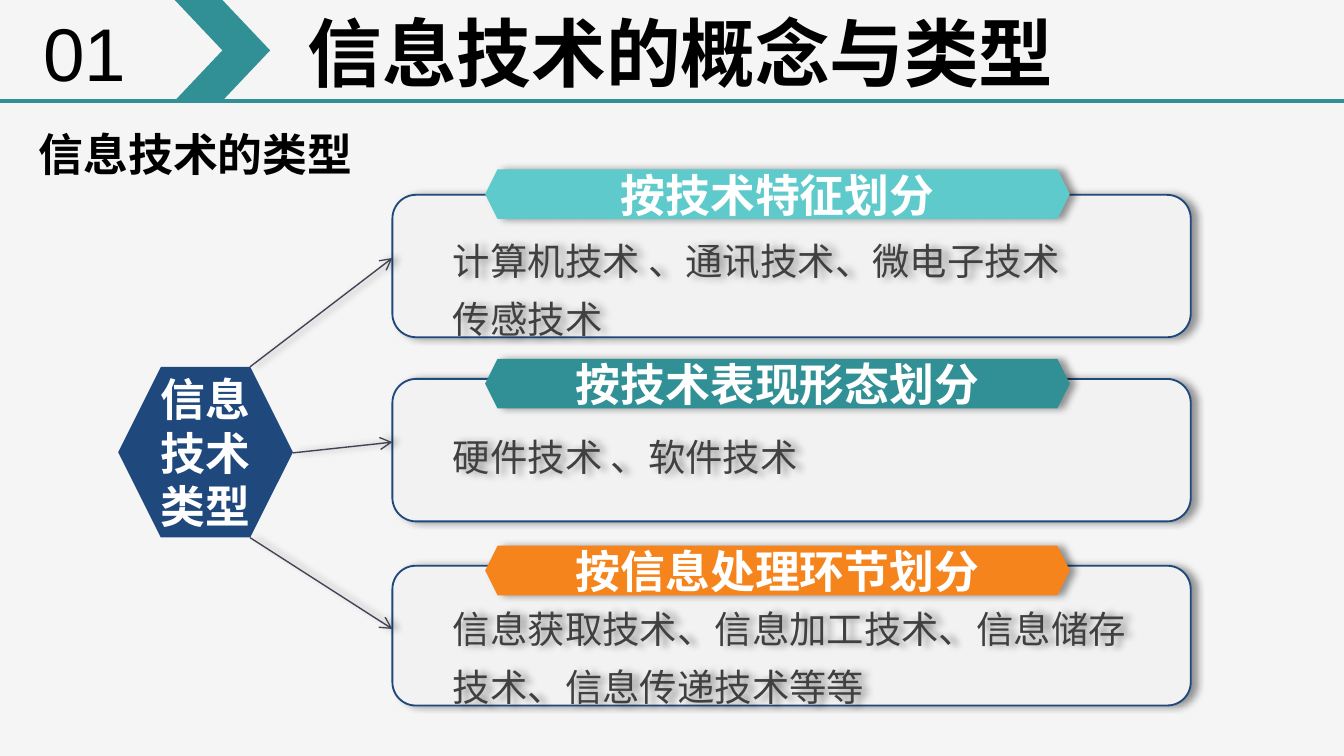
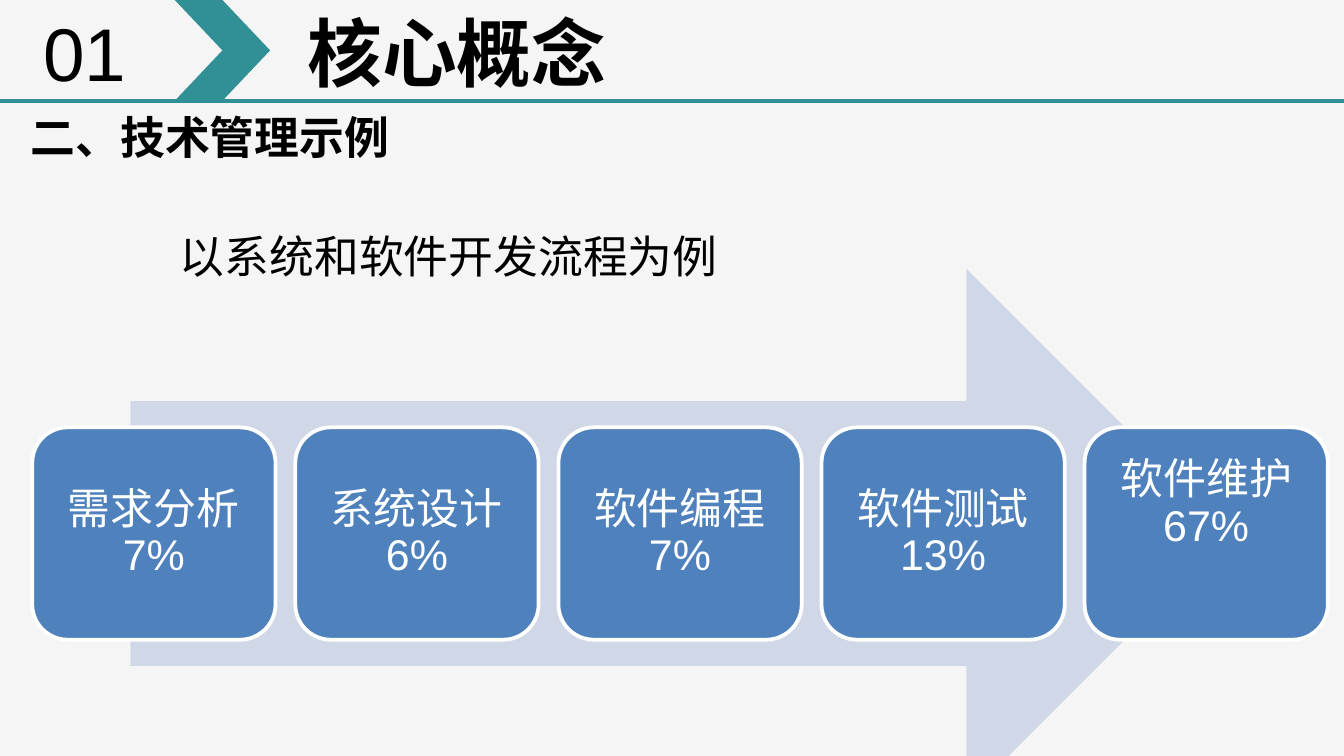
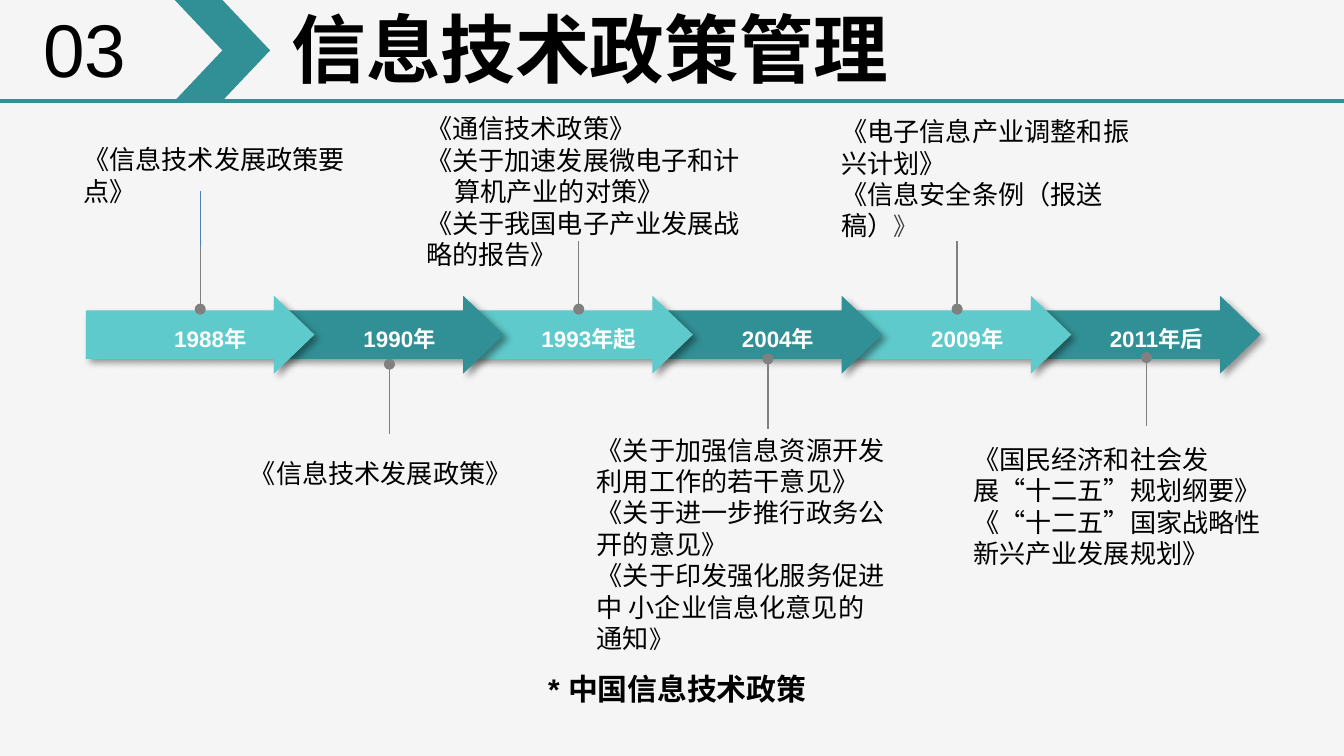
"""Builds three slides on information technology types, concepts and policy."""
from lxml.etree import SubElement
from pptx import Presentation
from pptx.dml.color import RGBColor
from pptx.enum.shapes import MSO_CONNECTOR, MSO_SHAPE
from pptx.enum.text import MSO_ANCHOR, PP_ALIGN
from pptx.oxml.ns import qn
from pptx.util import Inches, Pt

TEAL, AQUA, NAVY, ORANGE = "319095", "5FCACB", "1F497D", "F5841C"
WHITE, BLACK, GRAY = "FFFFFF", "000000", "404040"
SLIM = (0.08, 0.04)
hue = RGBColor.from_string


def draw(page, kind, box, fill=None, edge=None, wide=1, turn=None, end=None):
    """Add a line, text box or preset shape; turn is the shadow angle."""
    spots = [Inches(n) for n in box]
    if kind == "line":
        item = page.shapes.add_connector(MSO_CONNECTOR.STRAIGHT, *spots)
    elif kind == "text":
        item = page.shapes.add_textbox(*spots)
    else:
        item = page.shapes.add_shape(kind, *spots)
        item.fill.solid()
        item.fill.fore_color.rgb = hue(fill)
    if edge:
        item.line.color.rgb = hue(edge)
        item.line.width = Pt(wide)
    elif kind != "text":
        item.line.fill.background()
    props = item._element.spPr
    if end:
        SubElement(props.find(qn("a:ln")), qn("a:" + end[0]), type=end[1])
    glow = SubElement(props, qn("a:effectLst"))
    if turn is not None:
        cast = SubElement(glow, qn("a:outerShdw"), blurRad="50800",
                          dist="38100", dir=str(turn * 60000))
        tint = SubElement(cast, qn("a:srgbClr"), val=BLACK)
        SubElement(tint, qn("a:alpha"), val="40000")
    return item


def write(item, paras, size, tone=BLACK, bold=False, inset=(0.1, 0.05),
          mid=False, align=PP_ALIGN.LEFT, space=1.0, font="Arial"):
    """Fill an item with paragraphs, each one a tuple of runs."""
    frame = item.text_frame
    frame.word_wrap = True
    frame.margin_left = frame.margin_right = Inches(inset[0])
    frame.margin_top = frame.margin_bottom = Inches(inset[1])
    frame.vertical_anchor = MSO_ANCHOR.MIDDLE if mid else MSO_ANCHOR.TOP
    for i, para in enumerate(paras):
        line = frame.add_paragraph() if i else frame.paragraphs[0]
        line.alignment = align
        line.line_spacing = space
        for part in para:
            run = line.add_run()
            run.text = part
            run.font.size = Pt(size)
            run.font.name = font
            run.font.bold = bold
            run.font.color.rgb = hue(tone)
    return frame


deck = Presentation()
deck.slide_width = Inches(10)
deck.slide_height = Inches(10) * 9 // 16

heads = [
    ("01", "信息技术的概念与类型", 2.21, 0.01, "Arial"),
    ("01", "核心概念", 2.21, 0.01, "Roboto"),
    ("03", "信息技术政策管理", 2.09, -0.02, "Arial"),
]
pages = []
for num, title, left, top, font in heads:
    page = deck.slides.add_slide(deck.slide_layouts[6])
    page.background.fill.solid()
    page.background.fill.fore_color.rgb = hue("F5F5F5")
    draw(page, "line", (0, 0.75, 10.01, 0.75), edge=TEAL, wide=2.25)
    draw(page, MSO_SHAPE.CHEVRON, (1.3, 0, 0.71, 0.75), TEAL)
    write(draw(page, "text", (0.24, top, 0.79, 0.76)), [(num,)], 40, inset=SLIM)
    write(draw(page, "text", (left, top, 7.4, 0.76)), [(title,)], 40,
          bold=True, inset=SLIM, font=font)
    pages.append(page)
types, flow, policy = pages

write(draw(types, "text", (0.19, 0.89, 2.56, 0.5)), [("信息技术的类型",)], 24, bold=True)
hub = draw(types, MSO_SHAPE.HEXAGON, (0.88, 2.73, 1.3, 1.27), NAVY)
write(hub, [("信息技术类型",)], 24, WHITE, True, SLIM, True, PP_ALIGN.CENTER)
groups = [
    (1.45, 1.06, 1.26, AQUA, "按技术特征划分", 1.63, 1.22,
     [("计算机技术 、通讯技术、微电子技术",), ("传感技术",)], (1.86, 2.73)),
    (2.82, 1.06, 2.67, TEAL, "按技术表现形态划分", 3.09, 0.48,
     [("硬件技术 、软件技术",)], (2.18, 3.37)),
    (4.21, 1.04, 4.06, ORANGE, "按信息处理环节划分", 4.37, 0.92,
     [("信息获取技术、信息加工技术、信息储存技术、信息传递技术等等",)], (1.86, 4)),
]
for top, high, rise, fill, name, low, deep, paras, start in groups:
    draw(types, MSO_SHAPE.ROUNDED_RECTANGLE, (2.92, top, 5.94, high),
         "F2F2F2", NAVY, turn=0)
    label = draw(types, MSO_SHAPE.HEXAGON, (3.61, rise, 4.35, 0.37), fill, turn=0)
    write(label, [(name,)], 24, WHITE, True, SLIM, True, PP_ALIGN.CENTER)
    write(draw(types, "text", (3.29, low, 5.34, deep), turn=0), paras, 20,
          GRAY, inset=SLIM, space=1.3)
    draw(types, "line", (*start, 2.92, top + 0.47), edge="414455", wide=0.75,
         turn=0, end=("tailEnd", "arrow"))

write(draw(flow, "text", (0.13, 0.77, 2.89, 0.5)), [("二、技术管理示例",)], 24, bold=True)
write(draw(flow, "text", (1.24, 1.45, 8.58, 0.71)), [("以系统和软件开发流程为例",)],
      24, space=1.5)
draw(flow, MSO_SHAPE.RIGHT_ARROW, (0.97, 2, 8.19, 3.94), "D0D8E8")
steps = ["需求分析 7%", "系统设计 6%", "软件编程 7%", "软件测试 13%", "软件维护 67%"]
pitch = (8.07 - 0.24) / 4
for i, step in enumerate(steps):
    card = draw(flow, MSO_SHAPE.ROUNDED_RECTANGLE,
                (0.24 + pitch * i, 3.18, 1.81, 1.58), "4F81BD", WHITE, 2)
    frame = write(card, [(step,)], 23, WHITE, inset=(0.1, 0.1), mid=True,
                  align=PP_ALIGN.CENTER, space=0.9)
frame.margin_bottom = Inches(0.54)

years = ["1988年", "1990年", "1993年起", "2004年", "2009年", "2011年后"]
pins = [(2.3, 1.79), (2.71, 3.23), (2.3, 1.79), (2.67, 3.19), (2.3, 1.79), (2.66, 3.17)]
pitch = (7.68 - 0.64) / 5
for i in reversed(range(len(years))):
    arrow = draw(policy, MSO_SHAPE.RIGHT_ARROW, (0.64 + pitch * i, 2.2, 1.7, 0.58),
                 TEAL if i % 2 else AQUA, turn=45)
    arrow.adjustments[0], arrow.adjustments[1] = 0.62, 0.52
for i, (year, (near, far)) in enumerate(zip(years, pins)):
    left = 0.64 + pitch * i
    write(draw(policy, "text", (left + 0.4, 2.36, 1.05, 0.32)), [(year,)], 12,
          WHITE, True, (0.11, 0.06), align=PP_ALIGN.CENTER)
    draw(policy, "line", (left + 0.85, near, left + 0.85, far), edge="808080",
         wide=0.75, end=("headEnd", "oval"))
draw(policy, "line", (1.49, 1.83, 1.49, 1.42), edge="4B7EBC", wide=0.75)

notes = [
    ((0.62, 1.07, 2.17, 0.24), [("《信息技术发展政策要点》",)], BLACK),
    ((1.86, 3.4, 2.17, 0.24), [("《信息技术发展政策》",)], BLACK),
    ((3.17, 0.84, 2.36, 1.4),
     [("《通信技术政策》",), ("《关于加速发展微电子和计算机产业的对策》",),
      ("《关于我国电子产业发展战",), ("略的报告》",)], BLACK),
    ((4.44, 3.23, 2.17, 1.65),
     [("《关于加强信息资源开发利用工作的若干意见》",),
      ("《关于进一步推行政务公开的意见》",),
      ("《关于印发强化服务促进中 小企业信息化意见的通知", "》")], BLACK),
    ((6.26, 0.86, 2.17, 0.94),
     [("《电子信息产业调整和振兴计划》",), ("《信息安全条例（报送稿）", "》")], GRAY),
    ((7.24, 3.3, 2.17, 0.94),
     [("《国民经济和社会发展“十二五”规划纲要》",),
      ("《“十二五”国家战略性新兴产业发展规划》",)], BLACK),
]
for box, paras, tone in notes:
    frame = write(draw(policy, "text", box), paras, 14, inset=(0, 0))
    for para in frame.paragraphs:
        for run in para.runs[1:]:
            run.font.size = Pt(13)
            run.font.color.rgb = hue(tone)
        if "微电子" in para.text:
            props = para._p.get_or_add_pPr()
            props.set("marL", str(Inches(0.21)))
            props.set("indent", str(-Inches(0.21)))
write(draw(policy, "text", (3.98, 4.94, 2.15, 0.37)), [("* 中国信息技术政策",)], 16, bold=True)

deck.save("out.pptx")
